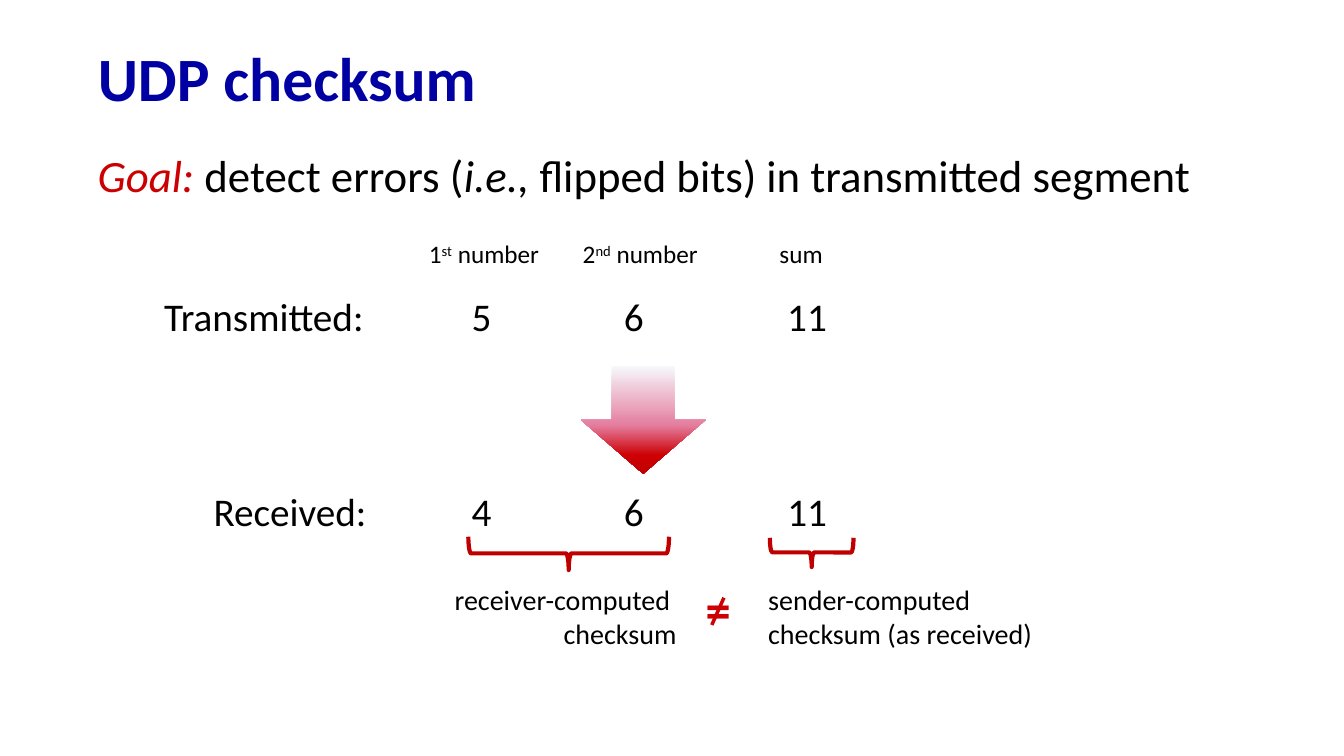
from lxml.etree import SubElement
from pptx import Presentation
from pptx.dml.color import RGBColor
from pptx.enum.shapes import MSO_CONNECTOR, MSO_SHAPE
from pptx.enum.text import MSO_ANCHOR, MSO_AUTO_SIZE, PP_ALIGN
from pptx.oxml.ns import qn
from pptx.util import Inches, Pt

FONT = "Calibri"
COLORS = {"title": "0000A3", "goal": "CC0000", "text": "000000",
          "brace": "C00000", "unequal": "CD0004"}
ARROW_STOPS = [(0, "F6F8FC"), (55, "E47E9F"), (83, "CD0004"), (100, "C00000")]

TITLE = "UDP checksum"
# Each run: text, style
GOAL = [("Goal:", "goal"), (" detect errors (", ""), ("i.e., ", "italic"),
        ("flipped bits) in transmitted segment", "")]
# Runs, left, width
HEADINGS = [
    ([("1", ""), ("st", "super"), (" number", "")], 4.14, 1.32),
    ([("2", ""), ("nd", "super"), (" number", "")], 5.66, 1.38),
    ([("sum", "")], 7.6, 0.69),
]
# Label, numbers, left of the text, top
ROWS = [("Transmitted:", (5, 6, 11), 1.63, 2.9),
        ("Received:", (4, 6, 11), 2.12, 4.84)]
NUMBER_COLUMNS = (4.68, 6.19, 7.81)
# Lines, alignment, left, width
CAPTIONS = [
    (["receiver-computed ", "checksum"], PP_ALIGN.RIGHT, 4.38, 2.43),
    (["sender-computed", "checksum (as received)"], PP_ALIGN.LEFT, 7.52, 2.85),
]
# Centre x, centre y, span, depth
BRACES = [(5.64, 5.49, 1.99, 0.33), (8.05, 5.48, 0.83, 0.29)]
INSET = 0.1


def rgb(name):
    return RGBColor.from_string(COLORS[name])


def style(paragraph, size, color="text", bold=False):
    paragraph.font.name = FONT
    paragraph.font.size = Pt(size)
    paragraph.font.bold = bold
    paragraph.font.color.rgb = rgb(color)


def add_runs(paragraph, runs):
    for text, kind in runs:
        span = paragraph.add_run()
        span.text = text
        if kind in ("goal", "italic"):
            span.font.italic = True
        if kind == "goal":
            span.font.color.rgb = rgb("goal")
        if kind == "super":
            span.font._element.set("baseline", "30000")


def add_box(page, left, top, width, height, wrap=False):
    box = page.shapes.add_textbox(*map(Inches, (left, top, width, height)))
    box.text_frame.word_wrap = wrap
    return box.text_frame


def add_row(page, label, numbers, text_left, top):
    """Write a label and its numbers on tab stops shared by all rows."""
    frame = add_box(page, text_left - INSET, top, 11, 0.63, wrap=True)
    para = frame.paragraphs[0]
    para.text = "\t".join([label, *map(str, numbers)])
    para.line_spacing = 0.9
    para.space_before = Pt(10)
    style(para, 28)
    properties = para._p.get_or_add_pPr()
    stops = properties.makeelement(qn("a:tabLst"))
    properties.find(qn("a:defRPr")).addprevious(stops)
    for column in NUMBER_COLUMNS:
        SubElement(stops, qn("a:tab"), pos=str(Inches(column - text_left)), algn="l")


def add_arrow(page):
    arrow = page.shapes.add_shape(
        MSO_SHAPE.DOWN_ARROW, *map(Inches, (5.76, 3.63, 1.24, 1.07)))
    arrow.shadow.inherit = False
    arrow.line.fill.background()
    arrow.fill.gradient()
    arrow.fill.gradient_angle = 270
    stops = arrow._element.spPr.find(".//" + qn("a:gsLst"))
    for stop in list(stops):
        stops.remove(stop)
    for percent, color in ARROW_STOPS:
        stop = SubElement(stops, qn("a:gs"), pos=str(percent * 1000))
        SubElement(stop, qn("a:srgbClr"), val=color)


def add_brace(page, center_x, center_y, span, depth):
    brace = page.shapes.add_shape(
        MSO_SHAPE.RIGHT_BRACE,
        *map(Inches, (center_x - depth / 2, center_y - span / 2, depth, span)))
    brace.rotation = 90
    brace.shadow.inherit = False
    brace.fill.background()
    brace.line.color.rgb = rgb("brace")
    brace.line.width = Pt(3)


def add_unequal_sign(page):
    para = add_box(page, 6.9, 5.69, 0.45, 0.71).paragraphs[0]
    para.text = "="
    style(para, 36, "unequal", bold=True)
    slash = page.shapes.add_connector(
        MSO_CONNECTOR.STRAIGHT, *map(Inches, (7.18, 5.93, 7.06, 6.2)))
    slash.line.color.rgb = rgb("unequal")
    slash.line.width = Pt(2.5)
    SubElement(slash._element.spPr, qn("a:effectLst"))


def main():
    deck = Presentation()
    deck.slide_width, deck.slide_height = Inches(13.33), Inches(7.5)
    page = deck.slides.add_slide(deck.slide_layouts[5])

    title = page.shapes.title
    title.left, title.top, title.width, title.height = map(
        Inches, (0.87, 0.32, 12.14, 0.98))
    frame = title.text_frame
    frame.text = TITLE
    frame.auto_size = MSO_AUTO_SIZE.NONE
    frame.vertical_anchor = MSO_ANCHOR.MIDDLE
    para = frame.paragraphs[0]
    para.alignment = PP_ALIGN.LEFT
    para.line_spacing = 0.9
    style(para, 44, "title", bold=True)

    para = add_box(page, 0.87, 1.5, 12.14, 0.93, wrap=True).paragraphs[0]
    add_runs(para, GOAL)
    para.line_spacing = 0.85
    para.space_before = Pt(6)
    style(para, 32)

    for runs, left, width in HEADINGS:
        para = add_box(page, left, 2.32, width, 0.4).paragraphs[0]
        add_runs(para, runs)
        para.alignment = PP_ALIGN.CENTER
        style(para, 18)

    for row in ROWS:
        add_row(page, *row)
    add_arrow(page)
    for brace in BRACES:
        add_brace(page, *brace)

    for lines, alignment, left, width in CAPTIONS:
        frame = add_box(page, left, 5.73, width, 0.77)
        frame.text = "\n".join(lines)
        for para in frame.paragraphs:
            para.alignment = alignment
            style(para, 20)
    add_unequal_sign(page)

    deck.save("out.pptx")


if __name__ == "__main__":
    main()
